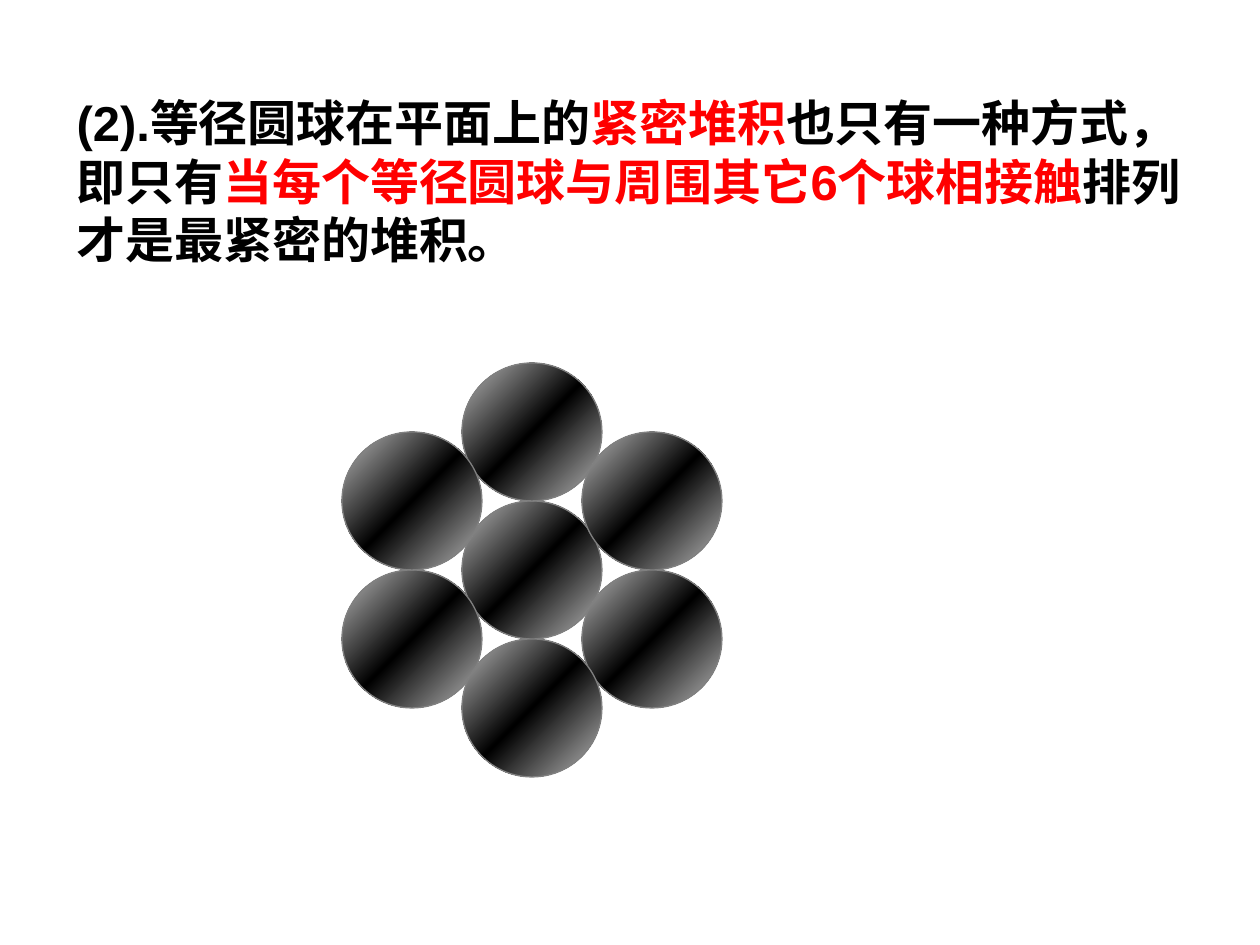
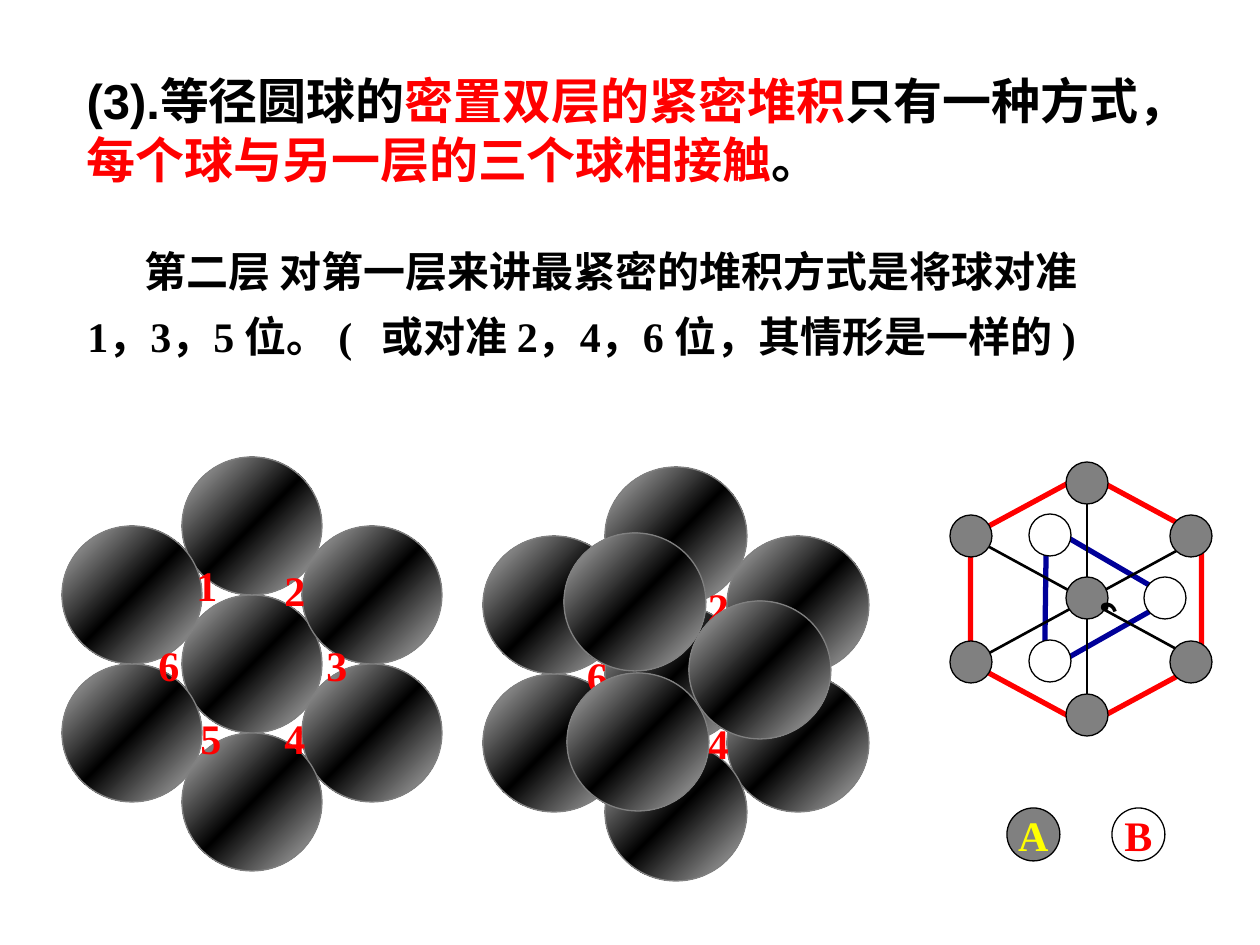
from copy import deepcopy

from lxml.etree import SubElement
from pptx import Presentation
from pptx.dml.color import RGBColor
from pptx.enum.lang import MSO_LANGUAGE_ID
from pptx.enum.shapes import MSO_CONNECTOR, MSO_SHAPE
from pptx.enum.text import MSO_ANCHOR, MSO_AUTO_SIZE, PP_ALIGN
from pptx.oxml.ns import qn
from pptx.util import Pt

PX = 914400 // 126
BLACK = RGBColor(0x00, 0x00, 0x00)
WHITE = RGBColor(0xFF, 0xFF, 0xFF)
RED = RGBColor(0xFF, 0x00, 0x00)
YELLOW = RGBColor(0xFF, 0xFF, 0x00)
NAVY = RGBColor(0x00, 0x00, 0x99)
GREY = RGBColor(0x80, 0x80, 0x80)
SILVER = RGBColor(0xBE, 0xBE, 0xBE)
SHEEN = [(0, SILVER), (0.5, BLACK), (1, SILVER)]

TITLE_FONT = {"name": "Arial", "size": Pt(28), "bold": True}
BODY_FONT = {"name": "Times New Roman", "size": Pt(24), "bold": True}
TITLE_FRAME = {"word_wrap": True, "auto_size": MSO_AUTO_SIZE.NONE,
               "vertical_anchor": MSO_ANCHOR.TOP}
BODY_FRAME = {"word_wrap": True}
LABEL_FRAME = {"word_wrap": False, "vertical_anchor": MSO_ANCHOR.MIDDLE}

PLANE_TITLE = [
    ("(2).等径圆球在平面上的", BLACK), ("紧密堆积", RED),
    ("也只有一种方式，即只有", BLACK),
    ("当每个等径圆球与周围其它6个球相接触", RED),
    ("排列才是最紧密的堆积。", BLACK),
]
DOUBLE_TITLE = [
    ("(3).等径圆球的", BLACK), ("密置双层的紧密堆积", RED),
    ("只有一种方式，", BLACK), ("每个球与另一层的三个球相接触", RED),
    ("。", BLACK),
]
SECOND_LAYER = [
    ("第二层 对第一层来讲最紧密的堆积方式是将球对准", 78),
    ("1，3，5 位。 (\t或对准 2，4，6 位，其情形是一样的 )", 21),
]
SECOND_LAYER_TAB = 377

SPHERE_CELLS = [(1, 2), (1, 0), (2, 1), (0, 3), (2, 3), (1, 4), (0, 1)]
ROW_STEP, SPHERE_HEIGHT = 69, 138
UPPER_SPHERES = [(564, 533), (689, 601), (567, 673)]
HOLLOWS = [("1", 0, 0, 45), ("2", 88, 5, 31), ("3", 130, 80, 42),
           ("4", 88, 153, 31), ("5", 4, 153, 34), ("6", -38, 80, 42)]

LEGEND = [("A", 1007, GREY, YELLOW), ("B", 1112, WHITE, RED)]
LEGEND_TOP, LEGEND_SIZE = 808, 53
ATOM_SIZE = 42
UPPER_ATOMS = [(1050, 661), (1050, 535), (1165, 598)]
LOWER_ATOMS = [(971, 662), (971, 536), (1087, 715), (1191, 662),
               (1191, 536), (1087, 483)]
CENTRE_ATOM = (1087, 598)
DIAGONALS = [(971, 663, 1202, 537), (1087, 474, 1087, 726),
             (971, 537, 1202, 663)]


def emu(*lengths):
    return [round(length * PX) for length in lengths]


def apply(target, formats):
    for attribute, value in formats.items():
        setattr(target, attribute, value)


def write(paragraph, runs, font):
    for text, color in runs:
        run = paragraph.add_run()
        run.text = text
        apply(run.font, font)
        run.font.language_id = MSO_LANGUAGE_ID.SIMPLIFIED_CHINESE
        run.font.color.rgb = color


def titled_slide(deck, runs, box):
    slide = deck.slides.add_slide(deck.slide_layouts[5])
    title = slide.shapes.title
    apply(title, dict(zip(("left", "top", "width", "height"), emu(*box))))
    apply(title.text_frame, TITLE_FRAME)
    paragraph = title.text_frame.paragraphs[0]
    paragraph.alignment = PP_ALIGN.LEFT
    write(paragraph, runs, TITLE_FONT)
    return slide


def outline(slide, kind, box, color, weight, fill=None, rotation=0):
    shape = slide.shapes.add_shape(kind, *emu(*box))
    shape.shadow.inherit = False
    shape.rotation = rotation
    shape.line.color.rgb = color
    shape.line.width = Pt(weight)
    if fill is None:
        shape.fill.background()
    else:
        shape.fill.solid()
        shape.fill.fore_color.rgb = fill
    return shape


def sphere(slide, left, top, width):
    ball = outline(slide, MSO_SHAPE.OVAL, (left, top, width, SPHERE_HEIGHT),
                   GREY, 0.75)
    ball.fill.gradient()
    ball.fill.gradient_angle = 315
    stops = ball._element.spPr.find(".//" + qn("a:gsLst"))
    stops.insert(1, deepcopy(stops[0]))
    for stop, (position, color) in zip(ball.fill.gradient_stops, SHEEN):
        stop.position = position
        stop.color.rgb = color


def cluster(slide, left, top, width, column_step):
    for column, row in SPHERE_CELLS:
        sphere(slide, left + column * column_step, top + row * ROW_STEP, width)


def hollow_numbers(slide, left, top, x_scale=1, y_scale=1):
    for digit, x, y, width in HOLLOWS:
        box = emu(left + x * x_scale, top + y * y_scale, width, 63)
        frame = slide.shapes.add_textbox(*box).text_frame
        apply(frame, BODY_FRAME)
        write(frame.paragraphs[0], [(digit, RED)], BODY_FONT)


def second_layer_text(slide):
    frame = slide.shapes.add_textbox(*emu(54, 224, 1131, 209)).text_frame
    apply(frame, BODY_FRAME)
    for index, (text, indent) in enumerate(SECOND_LAYER):
        paragraph = frame.add_paragraph() if index else frame.paragraphs[0]
        paragraph.line_spacing = 1.3
        properties = paragraph._p.get_or_add_pPr()
        properties.set("marL", "0")
        properties.set("indent", str(indent * PX))
        if "\t" in text:
            tabs = SubElement(properties, qn("a:tabLst"))
            SubElement(tabs, qn("a:tab"), pos=str(SECOND_LAYER_TAB * PX), algn="l")
        write(paragraph, [(text, BLACK)], BODY_FONT)


def label(shape, text, color, line_spacing=1.0):
    apply(shape.text_frame, LABEL_FRAME)
    paragraph = shape.text_frame.paragraphs[0]
    apply(paragraph, {"alignment": PP_ALIGN.CENTER, "line_spacing": line_spacing})
    write(paragraph, [(text, color)], BODY_FONT)


def atom(slide, centre, fill):
    x, y = centre
    box = (x - ATOM_SIZE / 2, y - ATOM_SIZE / 2, ATOM_SIZE, ATOM_SIZE)
    return outline(slide, MSO_SHAPE.OVAL, box, BLACK, 0.75, fill, 270)


def layer_diagram(slide):
    for letter, left, fill, color in LEGEND:
        box = (left, LEGEND_TOP, LEGEND_SIZE, LEGEND_SIZE)
        key = outline(slide, MSO_SHAPE.OVAL, box, BLACK, 0.75, fill)
        label(key, letter, color)
    outline(slide, MSO_SHAPE.ISOSCELES_TRIANGLE, (1004, 517, 147, 126),
            NAVY, 3, rotation=330.5)
    for centre in UPPER_ATOMS:
        atom(slide, centre, WHITE)
    hexagon = outline(slide, MSO_SHAPE.HEXAGON, (960, 484, 252, 231),
                      RED, 3, rotation=270)
    hexagon.adjustments[0] = 0.27
    for ends in DIAGONALS:
        diagonal = slide.shapes.add_connector(MSO_CONNECTOR.STRAIGHT, *emu(*ends))
        diagonal.line.color.rgb = BLACK
        diagonal.line.width = Pt(1.5)
        SubElement(diagonal._element.spPr, qn("a:effectLst"))
    for centre in LOWER_ATOMS:
        atom(slide, centre, GREY)
    label(atom(slide, CENTRE_ATOM, GREY), "，", BLACK, 1.3)


def main():
    deck = Presentation()
    deck.slide_width, deck.slide_height = emu(1260, 945)

    plane = titled_slide(deck, PLANE_TITLE, (64, 86, 1160, 189))
    cluster(plane, 342, 363, 140, 120)

    double = titled_slide(deck, DOUBLE_TITLE, (74, 64, 1121, 131))
    cluster(double, 62, 457, 140, 120)
    hollow_numbers(double, 184, 553)
    second_layer_text(double)
    cluster(double, 483, 467, 142, 122)
    hollow_numbers(double, 611, 571, 0.96, 0.92)
    for left, top in UPPER_SPHERES:
        sphere(double, left, top, 142)
    layer_diagram(double)

    deck.save("out.pptx")


if __name__ == "__main__":
    main()
